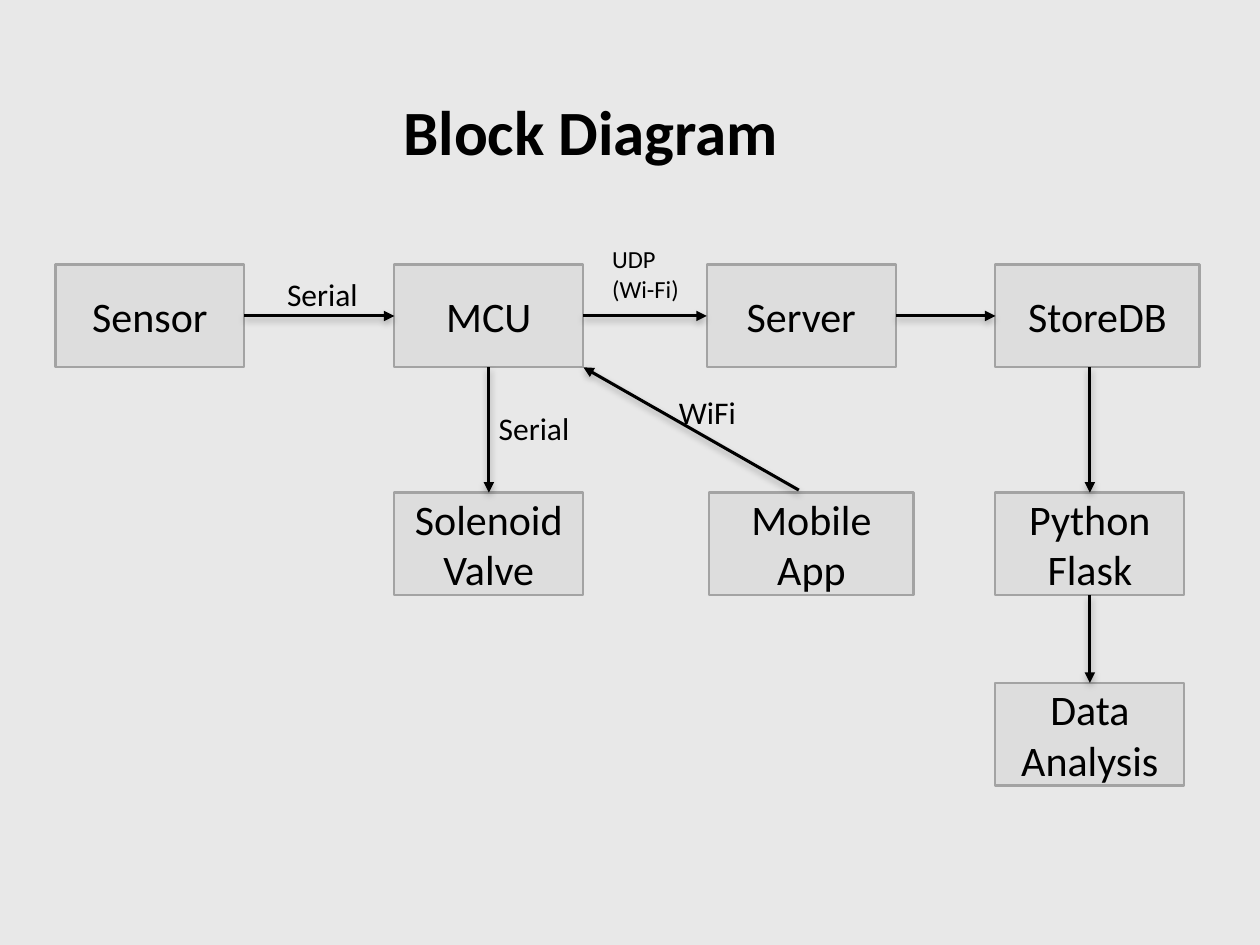
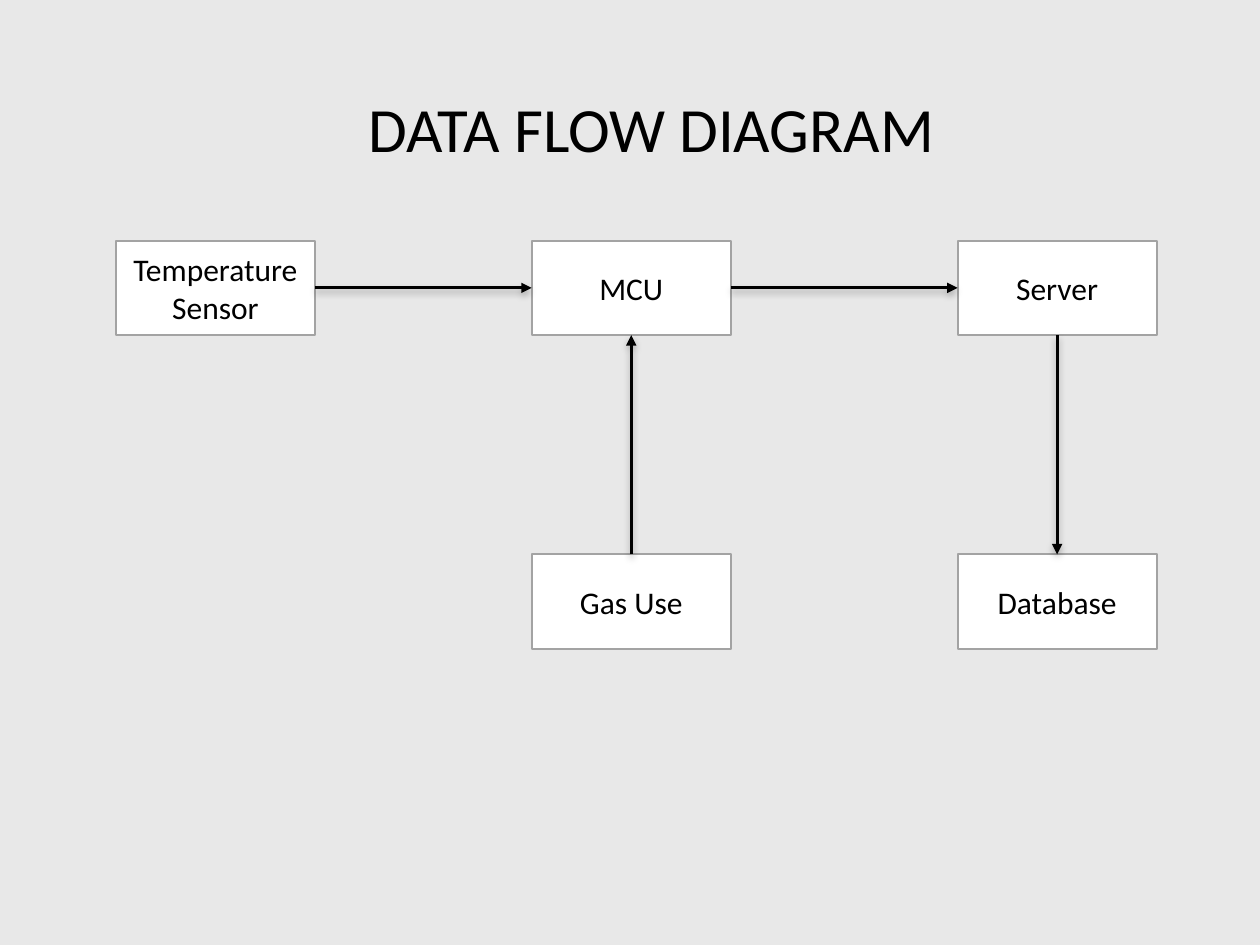
from lxml.etree import SubElement as Sub
from pptx import Presentation
from pptx.dml.color import RGBColor
from pptx.enum.shapes import MSO_CONNECTOR as Line, MSO_SHAPE as Form
from pptx.enum.text import MSO_ANCHOR as Anchor, MSO_AUTO_SIZE as Fit, PP_ALIGN as Align
from pptx.oxml.ns import qn
from pptx.util import Inches, Pt

# Shared style
FONT = "Calibri"
PAPER, INK, EDGE = "E8E8E8", "000000", "A3A3A3"
GREY, WHITE = "DDDDDD", "FFFFFF"
COLS, ROWS = 100, 75
TOP, LEFT, BASE, RIGHT = range(4)


def hue(code):
    return RGBColor.from_string(code)


class Deck:
    def __init__(self):
        self.prs = Presentation()
        self.prs.slide_width, self.prs.slide_height = Inches(10), Inches(7.5)

    def page(self, fill, size, wide, high):
        """Start a slide and set the look of its boxes."""
        self.slide = self.prs.slides.add_slide(self.prs.slide_layouts[6])
        back = self.slide.background.fill
        back.solid()
        back.fore_color.rgb = hue(PAPER)
        self.fill, self.size, self.wide, self.high = fill, size, wide, high

    def x(self, col):
        return round(self.prs.slide_width * col / COLS)

    def y(self, row):
        return round(self.prs.slide_height * row / ROWS)

    def area(self, col, row, wide, high):
        return self.x(col), self.y(row), self.x(wide), self.y(high)

    def words(self, shape, text, size, bold=False, align=Align.CENTER):
        """Put one run into the shape and return its paragraph."""
        frame = shape.text_frame
        frame.word_wrap = True
        frame.vertical_anchor = Anchor.MIDDLE
        para = frame.paragraphs[0]
        para.alignment = align
        run = para.add_run()
        run.text = text
        run.font.name, run.font.size, run.font.bold = FONT, Pt(size), bold
        run.font.color.rgb = hue(INK)
        return para

    def title(self, text, col, row, bold=False):
        shape = self.slide.shapes.add_textbox(*self.area(col, row, 85, 17.5))
        self.words(shape, text, 36, bold).line_spacing = 0.9

    def label(self, text, col, row, wide, high=4, size=18, wrap=False):
        shape = self.slide.shapes.add_textbox(*self.area(col, row, wide, high))
        self.words(shape, text, size, align=Align.LEFT)
        frame = shape.text_frame
        frame.vertical_anchor = Anchor.TOP
        frame.word_wrap, frame.auto_size = wrap, Fit.SHAPE_TO_FIT_TEXT

    def box(self, text, col, row, wide=None):
        place = self.area(col, row, wide or self.wide, self.high)
        shape = self.slide.shapes.add_shape(Form.RECTANGLE, *place)
        shape.shadow.inherit = False
        shape.fill.solid()
        shape.fill.fore_color.rgb = hue(self.fill)
        shape.line.color.rgb, shape.line.width = hue(EDGE), Pt(1.25)
        self.words(shape, text, self.size)
        return shape

    def link(self, start, end):
        """Draw an arrow; each end is (box, side) or (column, row)."""
        arrow = self.slide.shapes.add_connector(Line.STRAIGHT, 0, 0, 0, 0)
        if isinstance(start[0], (int, float)):
            arrow.begin_x, arrow.begin_y = self.x(start[0]), self.y(start[1])
        else:
            arrow.begin_connect(*start)
        if isinstance(end[0], (int, float)):
            arrow.end_x, arrow.end_y = self.x(end[0]), self.y(end[1])
        else:
            arrow.end_connect(*end)
        arrow.line.color.rgb, arrow.line.width = hue(INK), Pt(1.75)
        # Arrowhead and soft shadow
        props = arrow._element.spPr
        Sub(props.find(qn("a:ln")), qn("a:tailEnd"), type="triangle")
        shade = Sub(Sub(props, qn("a:effectLst")), qn("a:outerShdw"),
                    blurRad=str(Pt(4)), dist=str(Pt(2)), dir="5400000",
                    rotWithShape="0")
        tint = Sub(shade, qn("a:srgbClr"), val=INK)
        Sub(tint, qn("a:alpha"), val="28000")


def blocks(deck):
    deck.page(GREY, 24, 15, 8.15)
    deck.title("Block Diagram", 4.4, 2, bold=True)
    one, two, three, four = 4.4, 31.3, 56.1, 79
    top, mid, low = 21, 39.1, 54.2

    # Boxes
    sensor = deck.box("Sensor", one, top)
    mcu = deck.box("MCU", two, top)
    server = deck.box("Server", three, top)
    store = deck.box("StoreDB", four, top, 16.2)
    valve = deck.box("Solenoid Valve", two, mid)
    deck.box("Mobile App", 56.3, mid, 16.2)
    flask = deck.box("Python Flask", four, mid)
    study = deck.box("Data Analysis", four, low)

    # Arrows
    row = [sensor, mcu, server, store]
    for a, b in zip(row, row[1:]):
        deck.link((a, RIGHT), (b, LEFT))
    deck.link((mcu, BASE), (valve, TOP))
    deck.link((four + deck.wide / 2, top + deck.high), (flask, TOP))
    deck.link((flask, BASE), (study, TOP))
    deck.link((63.4, 38.9), (two + deck.wide, top + deck.high))

    # Link names
    deck.label("Serial", 21.8, 21.3, 7.9)
    deck.label("Serial", 38.6, 32, 7.9)
    deck.label("WiFi", 52.9, 30.7, 6.8)
    deck.label("UDP (Wi-Fi)", 47.6, 18.9, 8.7, 8.8, size=14, wrap=True)


def flow(deck):
    deck.page(WHITE, 18, 15.8, 7.5)
    deck.title("DATA FLOW DIAGRAM", 9.2, 1.7)
    one, two, three = 9.2, 42.2, 76
    top, low = 19.1, 44

    # Boxes
    sensor = deck.box("Temperature Sensor", one, top)
    mcu = deck.box("MCU", two, top)
    server = deck.box("Server", three, top)
    gas = deck.box("Gas Use", two, low)
    data = deck.box("Database", three, low)

    # Arrows
    deck.link((sensor, RIGHT), (mcu, LEFT))
    deck.link((mcu, RIGHT), (server, LEFT))
    deck.link((gas, TOP), (mcu, BASE))
    deck.link((server, BASE), (data, TOP))


def main():
    deck = Deck()
    blocks(deck)
    flow(deck)
    deck.prs.save("out.pptx")


if __name__ == "__main__":
    main()
